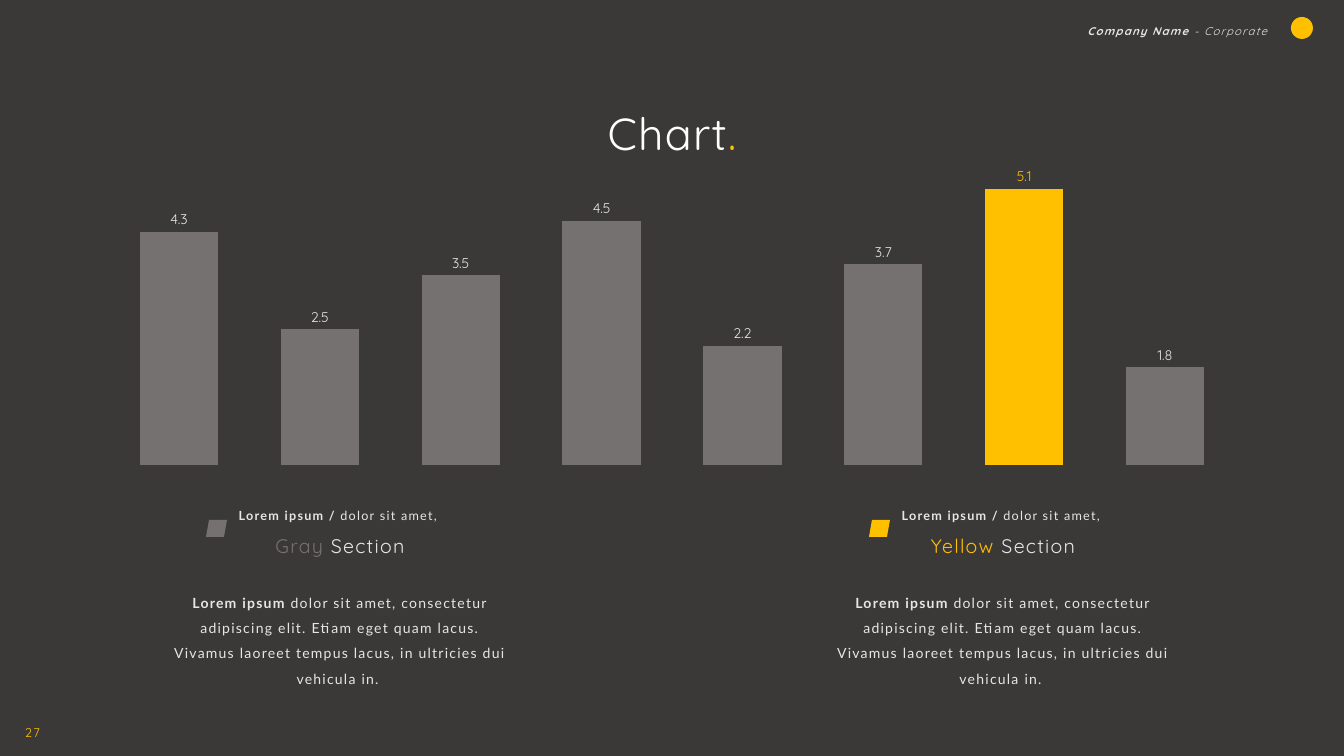
from pptx import Presentation
from pptx import util as u
from pptx.chart.data import CategoryChartData
from pptx.dml.color import RGBColor
from pptx.enum import chart as ch, shapes, text
from lxml import etree

YELLOW, GRAY, LIGHT, WHITE, DARK = "FFC000", "767171", "E7E6E6", "FFFFFF", "3B3838"
HEADER = [("Company Name ", LIGHT, True), ("- Corporate", LIGHT, False)]
TITLE = [("Chart", WHITE, False), (".", YELLOW, False)]
PAGE = [("27", YELLOW, False)]
VALUES = [4.3, 2.5, 3.5, 4.5, 2.2, 3.7, 5.1, 1.8]
HIGHLIGHT = 6
SECTIONS = [("Gray", GRAY), ("Yellow", YELLOW)]
TAGLINE = [("Lorem ipsum / ", LIGHT, True), ("dolor sit amet, ", LIGHT, False)]
BODY = [("Lorem ipsum ", LIGHT, True),
        ("dolor sit amet, consectetur adipiscing elit. Etiam eget quam lacus. "
         "Vivamus laoreet tempus lacus, in ultricies dui vehicula in. ", LIGHT, False)]
FIRST_CENTER, SECTION_STEP = 340, 663
PX = 12192000 / 1344


def px(length):
    return u.Emu(round(length * PX))


def color(hex_code):
    return RGBColor.from_string(hex_code)


def paint(part, hex_code):
    part.fill.solid()
    part.fill.fore_color.rgb = color(hex_code)
    part.line.fill.background()
    part.shadow.inherit = False


def write(runs, left, top, width, height, size, font="Quicksand",
          align=text.PP_ALIGN.CENTER, spacing=1.5, italic=False):
    frame = slide.shapes.add_textbox(px(left), px(top), px(width), px(height)).text_frame
    frame.word_wrap = True
    line = frame.paragraphs[0]
    line.alignment = align
    line.line_spacing = spacing
    for words, hex_code, bold in runs:
        run = line.add_run()
        run.text = words
        run.font.name = font
        run.font.size = u.Pt(size)
        run.font.bold = bold
        run.font.italic = italic
        run.font.color.rgb = color(hex_code)
        run.font._element.set("spc", "90")


def style_label(label, hex_code):
    label.position = ch.XL_LABEL_POSITION.OUTSIDE_END
    label.font.size = u.Pt(10)
    label.font.name = "Quicksand"
    label.font.color.rgb = color(hex_code)


def fix_plot_area(chart, **fractions):
    plot_area = chart._chartSpace.chart.plotArea
    for old in plot_area.findall("{*}layout"):
        plot_area.remove(old)
    space = "{http://schemas.openxmlformats.org/drawingml/2006/chart}"
    layout = etree.Element(space + "layout")
    manual = etree.SubElement(layout, space + "manualLayout")
    settings = {"layoutTarget": "inner", "xMode": "edge", "yMode": "edge", **fractions}
    for tag, value in settings.items():
        etree.SubElement(manual, space + tag).set("val", str(value))
    plot_area.insert(0, layout)


def add_bars():
    data = CategoryChartData()
    data.categories = [str(number + 1) for number in range(len(VALUES))]
    data.add_series("Series 1", VALUES)
    chart = slide.shapes.add_chart(ch.XL_CHART_TYPE.COLUMN_CLUSTERED, px(85), px(133),
                                   px(1174), px(339), data).chart
    chart.has_legend = chart.has_title = False
    chart.font.name = "Calibri"
    chart.font.size = u.Pt(10)
    chart.font.color.rgb = color("000000")
    chart.category_axis.visible = chart.value_axis.visible = False
    chart.value_axis.has_major_gridlines = False
    chart.value_axis.minimum_scale, chart.value_axis.maximum_scale = 0, 6
    fix_plot_area(chart, x=0.02, y=0.02, w=0.96, h=0.96)

    plot = chart.plots[0]
    plot.vary_by_categories = False
    plot.gap_width, plot.overlap = 80, -90
    bars = plot.series[0]
    bars.format.fill.solid()
    bars.format.fill.fore_color.rgb = color(GRAY)
    bars.data_labels.show_value = True
    style_label(bars.data_labels, LIGHT)
    peak = bars.points[HIGHLIGHT]
    peak.format.fill.solid()
    peak.format.fill.fore_color.rgb = color(YELLOW)
    style_label(peak.data_label, YELLOW)


def add_section(center, name, hex_code):
    write(BODY, center - 180, 581, 360, 84, 10, font="Lato")
    write([(name, hex_code, False), (" Section", LIGHT, False)], center - 100, 517, 200, 41, 14)
    write(TAGLINE, center - 135, 495, 270, 30, 9, font="Lato")
    left, top = center - 134, 520
    outline = slide.shapes.build_freeform(left + 3, top, scale=PX)
    outline.add_line_segments([(left + 21, top), (left + 18, top + 17), (left, top + 17)])
    paint(outline.convert_to_shape(), hex_code)


deck = Presentation()
deck.slide_width, deck.slide_height = px(1344), px(756)
slide = deck.slides.add_slide(deck.slide_layouts[6])
slide.background.fill.solid()
slide.background.fill.fore_color.rgb = color(DARK)

emblem = slide.shapes.add_shape(shapes.MSO_SHAPE.OVAL, px(1291), px(17), px(22), px(22))
paint(emblem, YELLOW)
write(HEADER, 1073, 13, 204, 28, 8, align=text.PP_ALIGN.RIGHT, italic=True)
write(PAGE, 15, 712, 53, 30, 9, align=text.PP_ALIGN.LEFT)
add_bars()
for index, (name, hex_code) in enumerate(SECTIONS):
    add_section(FIRST_CENTER + index * SECTION_STEP, name, hex_code)
write(TITLE, 572, 101, 200, 65, 32, spacing=1.0)

deck.save("out.pptx")
